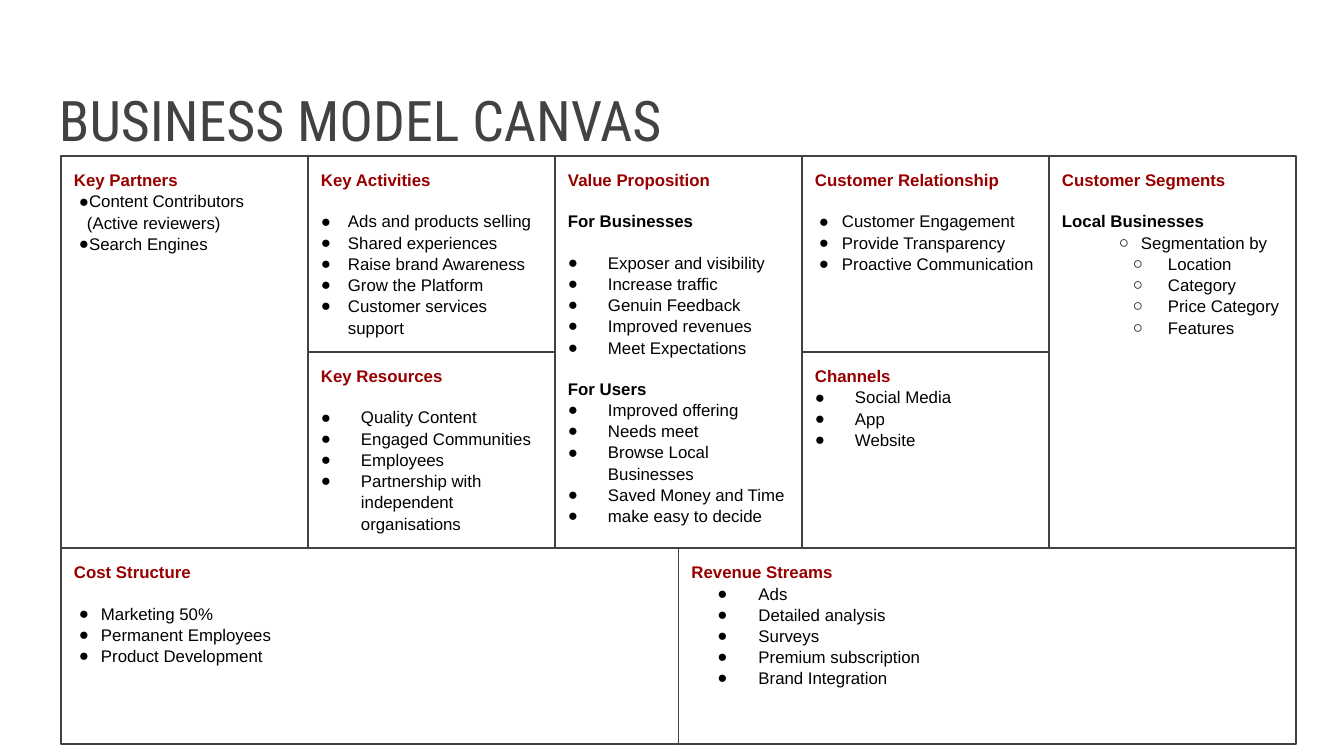
import pptx
import pptx.util
import pptx.dml.color
import pptx.enum.shapes
import pptx.enum.text
import pptx.oxml.ns
import lxml.etree

PX = 914400 / 134.4  # EMU in one px
WHITE = pptx.dml.color.RGBColor(0xFF, 0xFF, 0xFF)
BLACK = pptx.dml.color.RGBColor(0x00, 0x00, 0x00)
GREY = pptx.dml.color.RGBColor(0x42, 0x42, 0x42)
RED = pptx.dml.color.RGBColor(0x98, 0x00, 0x00)
BRIGHT_RED = pptx.dml.color.RGBColor(0x99, 0x00, 0x00)

INSET = 13
BLANK_LINE = 20

# Canvas grid: five columns, two half rows and a bottom row
LEFT, TOP, COLUMN, ROW = 61, 156, 247, 196

# Bullet styles: symbol, text margin, first-line indent, outline level
PARTNER = ("●", 13, -8, 0)
ACTIVITY = ("●", 27, -35, 0)
COST = ("●", 27, -22, 0)
RELATION = ("●", 27, -23, 0)
WIDE = ("●", 40, -41, 0)
REVENUE = ("●", 67, -41, 0)
SEGMENT = ("○", 79, -22, 1)
SUBSEGMENT = ("○", 106, -35, 1)


def emu(px):
    return pptx.util.Emu(round(px * PX))


def cell(column, row, columns=1, rows=1):
    return LEFT + column * COLUMN, TOP + row * ROW, columns * COLUMN, rows * ROW


def add_bullet(paragraph, bullet):
    symbol, margin, indent, paragraph.level = bullet
    properties = paragraph._p.get_or_add_pPr()
    properties.set("marL", str(emu(margin)))
    properties.set("indent", str(emu(indent)))
    color = lxml.etree.SubElement(properties, pptx.oxml.ns.qn("a:buClr"))
    lxml.etree.SubElement(color, pptx.oxml.ns.qn("a:srgbClr"), val=str(BLACK))
    lxml.etree.SubElement(properties, pptx.oxml.ns.qn("a:buFont"), typeface="Arial")
    lxml.etree.SubElement(properties, pptx.oxml.ns.qn("a:buChar"), char=symbol)


def add_line(frame, text, size=9, font="Arial", color=BLACK, bold=False,
             gap=0, spacing=1.05, bullet=None):
    paragraph = frame.paragraphs[0]
    if paragraph.runs:
        paragraph = frame.add_paragraph()
    paragraph.alignment = pptx.enum.text.PP_ALIGN.LEFT
    paragraph.line_spacing = spacing
    paragraph.space_before = emu(gap)
    if bullet:
        add_bullet(paragraph, bullet)
    run = paragraph.add_run()
    run.text = text
    run.font.size = pptx.util.Pt(size)
    run.font.name = font
    run.font.bold = bold
    run.font.color.rgb = color


def set_frame(frame, anchor):
    frame.word_wrap = True
    frame.vertical_anchor = anchor
    frame.margin_left = frame.margin_right = emu(INSET)
    frame.margin_top = frame.margin_bottom = emu(INSET)


def add_title(slide, box, text):
    frame = slide.shapes.add_textbox(*map(emu, box)).text_frame
    set_frame(frame, pptx.enum.text.MSO_ANCHOR.BOTTOM)
    add_line(frame, text, size=30, font="Roboto Condensed", color=GREY, spacing=1)


def add_section(canvas, box, heading, groups, color=RED):
    """Each group is (subheading, gap above its bullets, bullet style, items)."""
    section = canvas.shapes.add_shape(
        pptx.enum.shapes.MSO_SHAPE.RECTANGLE, *map(emu, box))
    section.shadow.inherit = False
    section.fill.solid()
    section.fill.fore_color.rgb = WHITE
    section.line.color.rgb = GREY
    section.line.width = pptx.util.Pt(0.75)
    frame = section.text_frame
    set_frame(frame, pptx.enum.text.MSO_ANCHOR.TOP)
    add_line(frame, heading, color=color, bold=True)
    for subheading, gap, bullet, items in groups:
        if subheading:
            add_line(frame, subheading, bold=True, gap=BLANK_LINE)
        for number, item in enumerate(items):
            add_line(frame, item, bullet=bullet, gap=0 if number else gap)


SECTIONS = [
    (cell(0, 0, rows=2), "Key Partners", [
        (None, 0, PARTNER, ["Content Contributors (Active reviewers)",
                            "Search Engines"])]),
    (cell(1, 0), "Key Activities", [
        (None, BLANK_LINE, ACTIVITY, [
            "Ads and products selling", "Shared experiences",
            "Raise brand Awareness", "Grow the Platform",
            "Customer services support"])]),
    (cell(1, 1), "Key Resources", [
        (None, BLANK_LINE, WIDE, [
            "Quality Content", "Engaged Communities", "Employees",
            "Partnership with independent organisations"])]),
    (cell(0, 2, columns=2.5), "Cost Structure", [
        (None, BLANK_LINE, COST, [
            "Marketing 50%", "Permanent Employees", "Product Development"])]),
    (cell(2, 0, rows=2), "Value Proposition", [
        ("For Businesses", BLANK_LINE, WIDE, [
            "Exposer and visibility", "Increase traffic", "Genuin Feedback",
            "Improved revenues", "Meet Expectations"]),
        ("For Users", 0, WIDE, [
            "Improved offering", "Needs meet", "Browse Local Businesses",
            "Saved Money and Time", "make easy to decide"])]),
    (cell(3, 0), "Customer Relationship", [
        (None, BLANK_LINE, RELATION, [
            "Customer Engagement", "Provide Transparency",
            "Proactive Communication"])]),
    (cell(3, 1), "Channels", [
        (None, 0, WIDE, ["Social Media", "App", "Website"])]),
    (cell(4, 0, rows=2), "Customer Segments", [
        ("Local Businesses", 0, SEGMENT, ["Segmentation by"]),
        (None, 0, SUBSEGMENT, [
            "Location", "Category", "Price Category", "Features"])], BRIGHT_RED),
    (cell(2.5, 2, columns=2.5), "Revenue Streams", [
        (None, 0, REVENUE, [
            "Ads", "Detailed analysis", "Surveys", "Premium subscription",
            "Brand Integration"])]),
]


def main():
    presentation = pptx.Presentation()
    presentation.slide_width, presentation.slide_height = emu(1344), emu(756)
    slide = presentation.slides.add_slide(presentation.slide_layouts[6])

    # Title
    add_title(slide, (46, 59, 1252, 107), "BUSINESS MODEL CANVAS")

    # Canvas sections
    canvas = slide.shapes.add_group_shape()
    for section in SECTIONS:
        add_section(canvas, *section)

    presentation.save("out.pptx")


if __name__ == "__main__":
    main()
